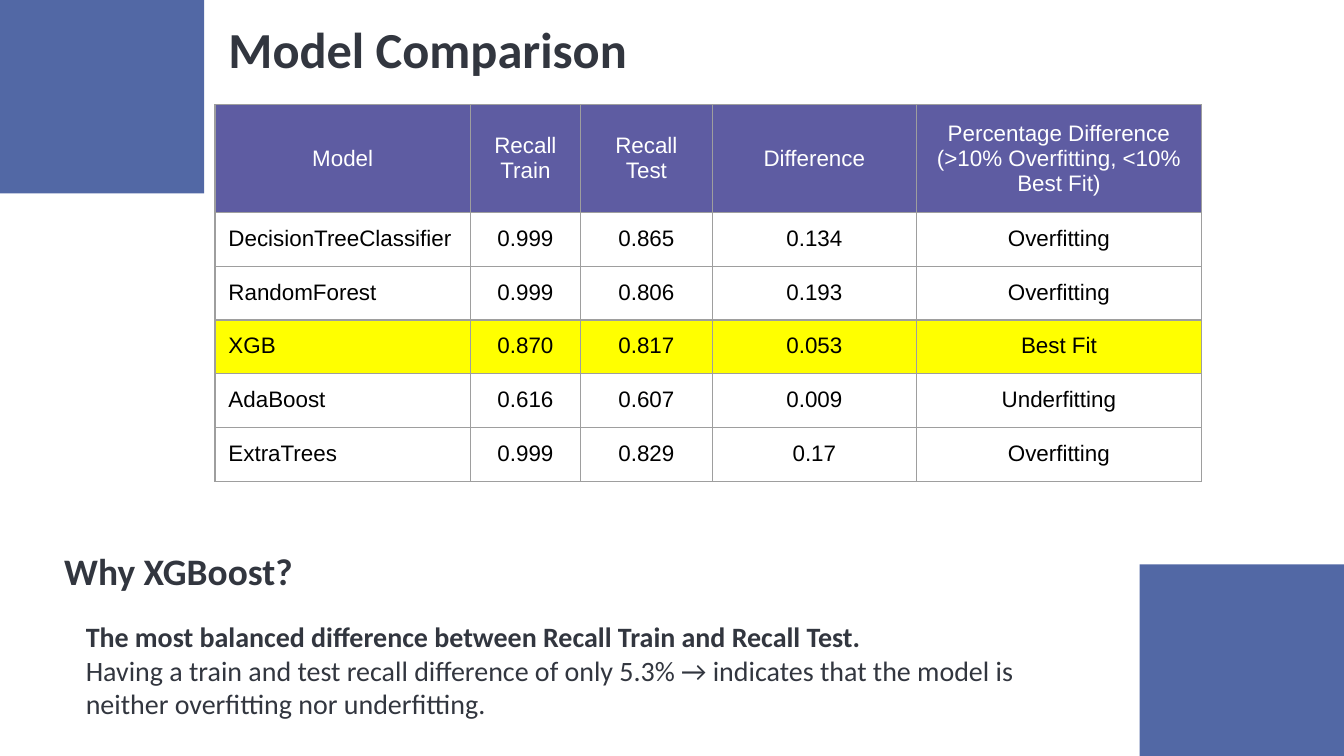
from lxml import etree
from pptx import Presentation
from pptx.dml.color import RGBColor
from pptx.enum.shapes import MSO_SHAPE
from pptx.enum.text import MSO_ANCHOR, PP_ALIGN
from pptx.oxml.ns import qn
from pptx.util import Inches, Pt

RECTANGLE = MSO_SHAPE.RECTANGLE
TOP, MIDDLE = MSO_ANCHOR.TOP, MSO_ANCHOR.MIDDLE
LEFT, CENTER = PP_ALIGN.LEFT, PP_ALIGN.CENTER

THEME = {
    "corner": "5268A5", "header": "5E5CA2", "best": "FFFF00", "grid": "9E9E9E",
    "ink": "32363F", "white": "FFFFFF", "black": "000000",
    "title": 27, "heading": 20, "body": 15, "cell": 12,
    "text_font": "Calibri", "table_font": "Arial",
}


def add_text(box, lines, size, inset_x=0.1, inset_y=0.1, anchor=TOP, spacing=1.0):
    """Add a text box holding (text, bold) lines."""
    frame = slide.shapes.add_textbox(*map(Inches, box)).text_frame
    settings = {
        "word_wrap": True, "vertical_anchor": anchor,
        "margin_left": Inches(inset_x), "margin_right": Inches(inset_x),
        "margin_top": Inches(inset_y), "margin_bottom": Inches(inset_y),
    }
    for name, value in settings.items():
        setattr(frame, name, value)
    for index, (text, bold) in enumerate(lines):
        paragraph = frame.add_paragraph() if index else frame.paragraphs[0]
        paragraph.line_spacing = spacing
        run = paragraph.add_run()
        run.text = text
        style_font(run.font, THEME["text_font"], size, THEME["ink"], bold)


def style_font(font, name, size, color, bold=False):
    font.name, font.size, font.bold = name, Pt(size), bold
    font.color.rgb = RGBColor.from_string(color)


# A 16:9 slide, 10 inches wide
prs = Presentation()
prs.slide_width, prs.slide_height = Inches(10), Inches(10 * 9 / 16)
slide = prs.slides.add_slide(prs.slide_layouts[6])

# Corner blocks
for left, top in ((0, 0), (8.48, 4.2)):
    corner = slide.shapes.add_shape(
        RECTANGLE, Inches(left), Inches(top), Inches(1.52), Inches(1.44))
    corner.shadow.inherit = False
    corner.fill.solid()
    corner.fill.fore_color.rgb = RGBColor.from_string(THEME["corner"])
    corner.line.fill.background()

# Title
add_text((1.63, 0.08, 7.82, 0.62), [("Model Comparison", True)], THEME["title"],
         inset_x=0.07, inset_y=0.04, anchor=MIDDLE, spacing=0.9)

# Model comparison table
results = [
    ("Model", "Recall Train", "Recall Test", "Difference",
     "Percentage Difference (>10% Overfitting, <10% Best Fit)"),
    ("DecisionTreeClassifier", "0.999", "0.865", "0.134", "Overfitting"),
    ("RandomForest", "0.999", "0.806", "0.193", "Overfitting"),
    ("XGB", "0.870", "0.817", "0.053", "Best Fit"),
    ("AdaBoost", "0.616", "0.607", "0.009", "Underfitting"),
    ("ExtraTrees", "0.999", "0.829", "0.17", "Overfitting"),
]
column_widths = (1.9, 0.82, 0.98, 1.52, 2.12)
frame_size = Inches(3.28)
comparison_frame = slide.shapes.add_table(
    len(results), len(column_widths), Inches(1.6), Inches(0.78),
    frame_size, frame_size)
comparison = comparison_frame.table
comparison.first_row = comparison.horz_banding = False
for column, width in zip(comparison.columns, column_widths):
    column.width = Inches(width)

for r, result in enumerate(results):
    is_header, is_best = r == 0, result[-1] == "Best Fit"
    comparison.rows[r].height = Inches(0.34)
    for c, value in enumerate(result):
        cell = comparison.cell(r, c)
        for side in ("left", "right", "top", "bottom"):
            setattr(cell, f"margin_{side}", Inches(0.1))
        cell.vertical_anchor = MIDDLE if is_header else TOP

        # Borders precede the fill in the cell properties
        properties = cell._tc.get_or_add_tcPr()
        for edge in ("a:lnL", "a:lnR", "a:lnT", "a:lnB"):
            border = etree.SubElement(properties, qn(edge), w=str(Pt(0.75)))
            paint = etree.SubElement(border, qn("a:solidFill"))
            etree.SubElement(paint, qn("a:srgbClr"), val=THEME["grid"])
        if is_header or is_best:
            cell.fill.solid()
            cell.fill.fore_color.rgb = RGBColor.from_string(
                THEME["header" if is_header else "best"])
        else:
            cell.fill.background()

        paragraph = cell.text_frame.paragraphs[0]
        paragraph.alignment = CENTER if is_header or c else LEFT
        run = paragraph.add_run()
        run.text = value
        style_font(run.font, THEME["table_font"], THEME["cell"],
                   THEME["white" if is_header else "black"])

# The rows grow to fit their text inside the frame
comparison_frame.width = comparison_frame.height = frame_size

# Reason for the chosen model
add_text((0.38, 3.98, 2.84, 0.48), [("Why XGBoost?", True)], THEME["heading"])
add_text((0.54, 4.51, 7.74, 1), [
    ("The most balanced difference between Recall Train and Recall Test.", True),
    ("Having a train and test recall difference of only 5.3% → indicates that "
     "the model is neither overfitting nor underfitting.", False),
], THEME["body"])

prs.save("out.pptx")
